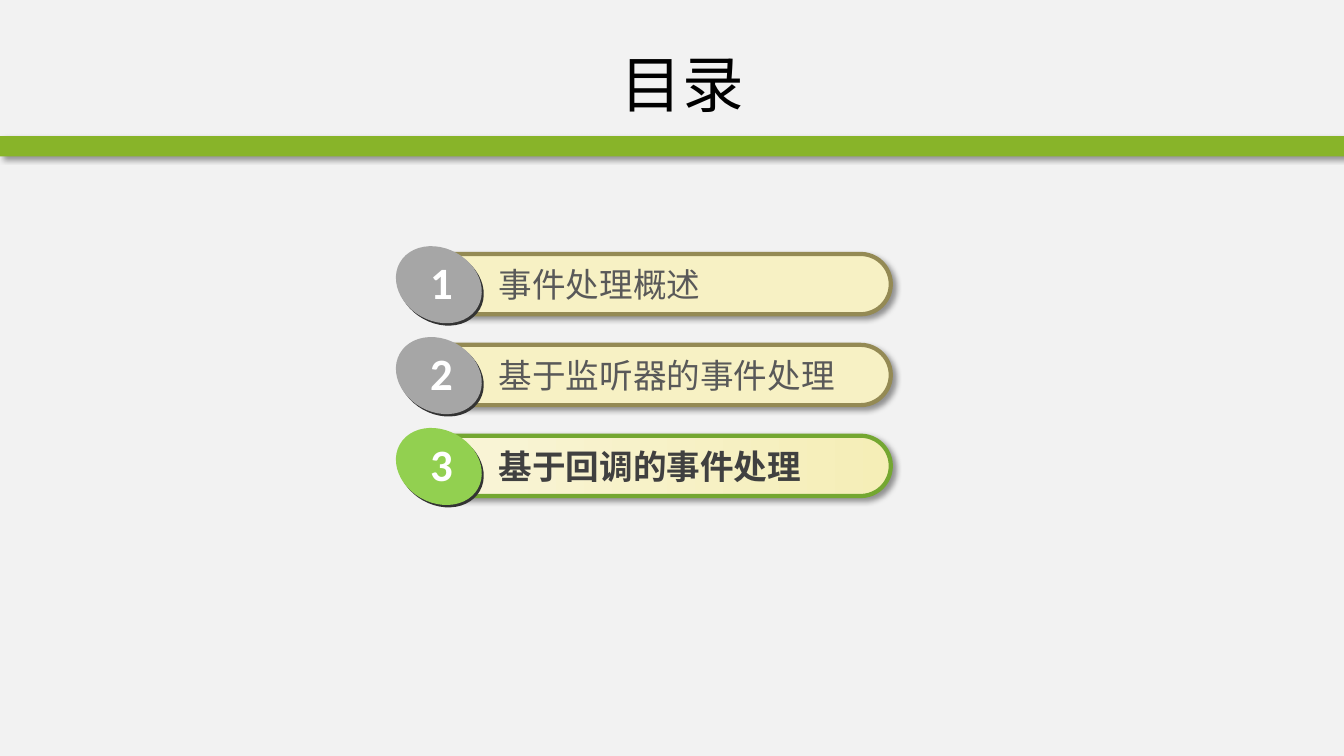
from pptx import Presentation
from pptx.dml.color import RGBColor
from pptx.enum.shapes import MSO_SHAPE
from pptx.enum.text import MSO_ANCHOR, MSO_AUTO_SIZE, PP_ALIGN
from pptx.oxml import parse_xml
from pptx.oxml.ns import nsdecls, qn
from pptx.util import Cm, Pt

HUES = {
    "back": "F2F2F2", "bar": "88B429", "cream": "F7F1C4", "pale": "F9F5D9",
    "sand": "F5EEB7", "olive": "948A54", "leaf": "74A731", "grey": "A6A6A6",
    "lime": "92D050", "under": "333333", "text": "595959", "dark": "404040",
    "white": "FFFFFF", "black": "000000",
}
HAN = "Noto Sans CJK SC"
ITEMS = ["事件处理概述", "基于监听器的事件处理", "基于回调的事件处理"]
ACTIVE = 3
TOP, PITCH = 6.4, 2.29


class Deck:
    """Holds the style and the current slide."""

    def __init__(self):
        self.file = Presentation()
        self.file.slide_width, self.file.slide_height = Cm(33.87), Cm(19.05)
        self.slide = self.file.slides.add_slide(self.file.slide_layouts[5])
        self.paint(self.slide.background.fill, "back")

    def hue(self, name):
        return RGBColor.from_string(HUES[name])

    def paint(self, fill, name):
        fill.solid()
        fill.fore_color.rgb = self.hue(name)

    def blend(self, fill, names):
        fill.gradient()
        fill.gradient_angle = 0
        for stop, name in zip(fill.gradient_stops, names):
            stop.color.rgb = self.hue(name)

    def shade(self, shape):
        effects = shape._element.spPr.find(qn("a:effectLst"))
        effects.append(parse_xml(
            f'<a:outerShdw {nsdecls("a")} blurRad="{Pt(4)}" dist="{Pt(3)}" '
            'dir="2700000" algn="tl" rotWithShape="0">'
            f'<a:srgbClr val="{HUES["black"]}"><a:alpha val="40000"/></a:srgbClr>'
            '</a:outerShdw>'))

    def shape(self, home, kind, box, fill, line=None):
        shape = home.add_shape(kind, *map(Cm, box))
        self.paint(shape.fill, fill)
        if line:
            shape.line.color.rgb = self.hue(line)
            shape.line.width = Pt(3)
        else:
            shape.line.fill.background()
        shape.shadow.inherit = False
        return shape

    def label(self, frame, words, size, face, hue, bold=False):
        frame.text = words
        para = frame.paragraphs[0]
        font = para.font
        font.size, font.bold = Pt(size), bold
        font.color.rgb = self.hue(hue)
        font.name = face
        font._rPr.append(parse_xml(f'<a:ea {nsdecls("a")} typeface="{face}"/>'))
        return para

    def text(self, home, box, words, size, face, hue, bold, wrap=True):
        frame = home.add_textbox(*map(Cm, box)).text_frame
        frame.word_wrap = wrap
        frame.auto_size = MSO_AUTO_SIZE.SHAPE_TO_FIT_TEXT
        self.label(frame, words, size, face, hue, bold)

    def title(self, words):
        title = self.slide.shapes.title
        title.left, title.top, title.width, title.height = map(
            Cm, (3.53, 0.76, 27.33, 2.67))
        title.text_frame.vertical_anchor = MSO_ANCHOR.MIDDLE
        para = self.label(title.text_frame, words, 44, HAN, "black")
        para.alignment = PP_ALIGN.CENTER

    def bar(self):
        box = (0, 3.43, 33.87, 0.51)
        self.shade(self.shape(self.slide.shapes, MSO_SHAPE.RECTANGLE, box, "bar"))

    def oval(self, home, left, top, fill):
        box = (left, top, 2.26, 1.83)
        self.shape(home, MSO_SHAPE.OVAL, box, fill).rotation = 29.3

    def item(self, num, words):
        live = num == ACTIVE
        top = TOP + (num - 1) * PITCH
        home = self.slide.shapes.add_group_shape().shapes
        pill = self.shape(home, MSO_SHAPE.ROUNDED_RECTANGLE,
                          (10.49, top, 11.96, 1.52), "cream",
                          "leaf" if live else "olive")
        pill.adjustments[0] = 0.5
        if live:
            self.blend(pill.fill, ("pale", "sand"))
        self.shade(pill)
        self.text(home, (12.32, top + 0.13, 9.53, 1.27), words, 24, HAN,
                  "dark" if live else "text", live)
        self.oval(home, 9.98, top - 0.08, "under")
        self.oval(home, 9.93, top - 0.14, "lime" if live else "grey")
        self.text(home, (10.59, top - 0.1, 1.09, 1.63), str(num), 32,
                  "Calibri", "white", True, wrap=False)


def main():
    deck = Deck()
    deck.bar()
    deck.title("目录")
    for num, words in enumerate(ITEMS, 1):
        deck.item(num, words)
    deck.file.save("out.pptx")


if __name__ == "__main__":
    main()
